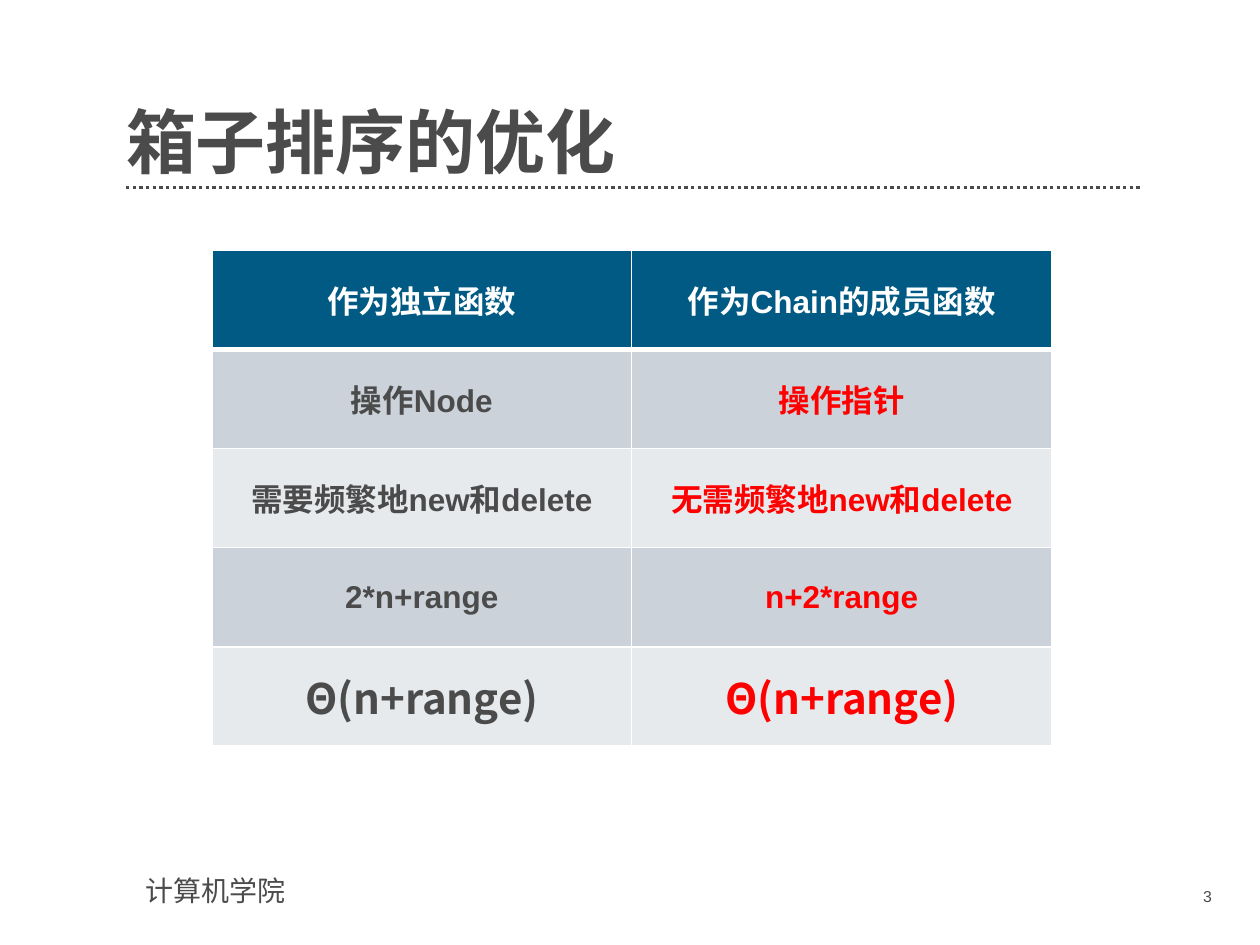
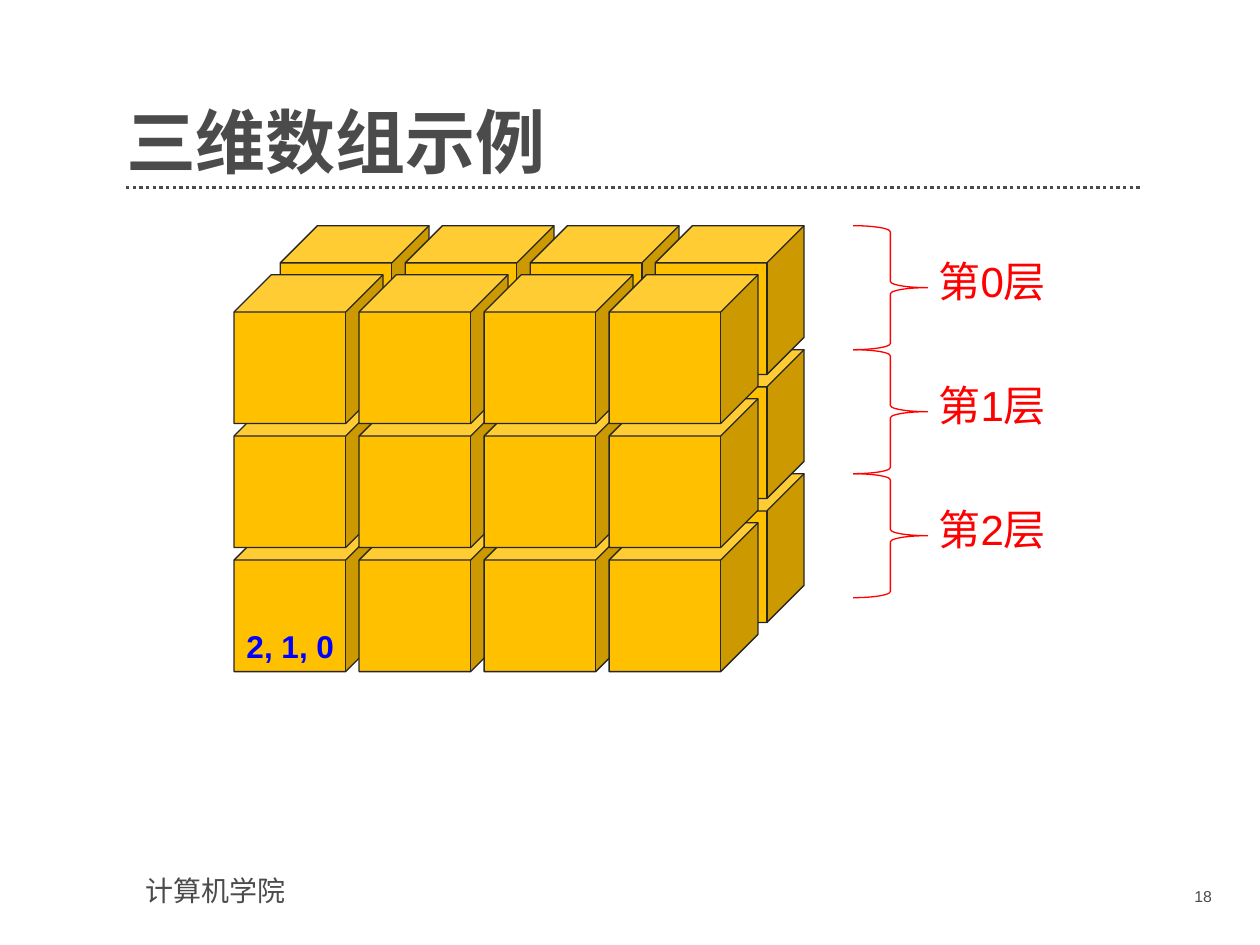
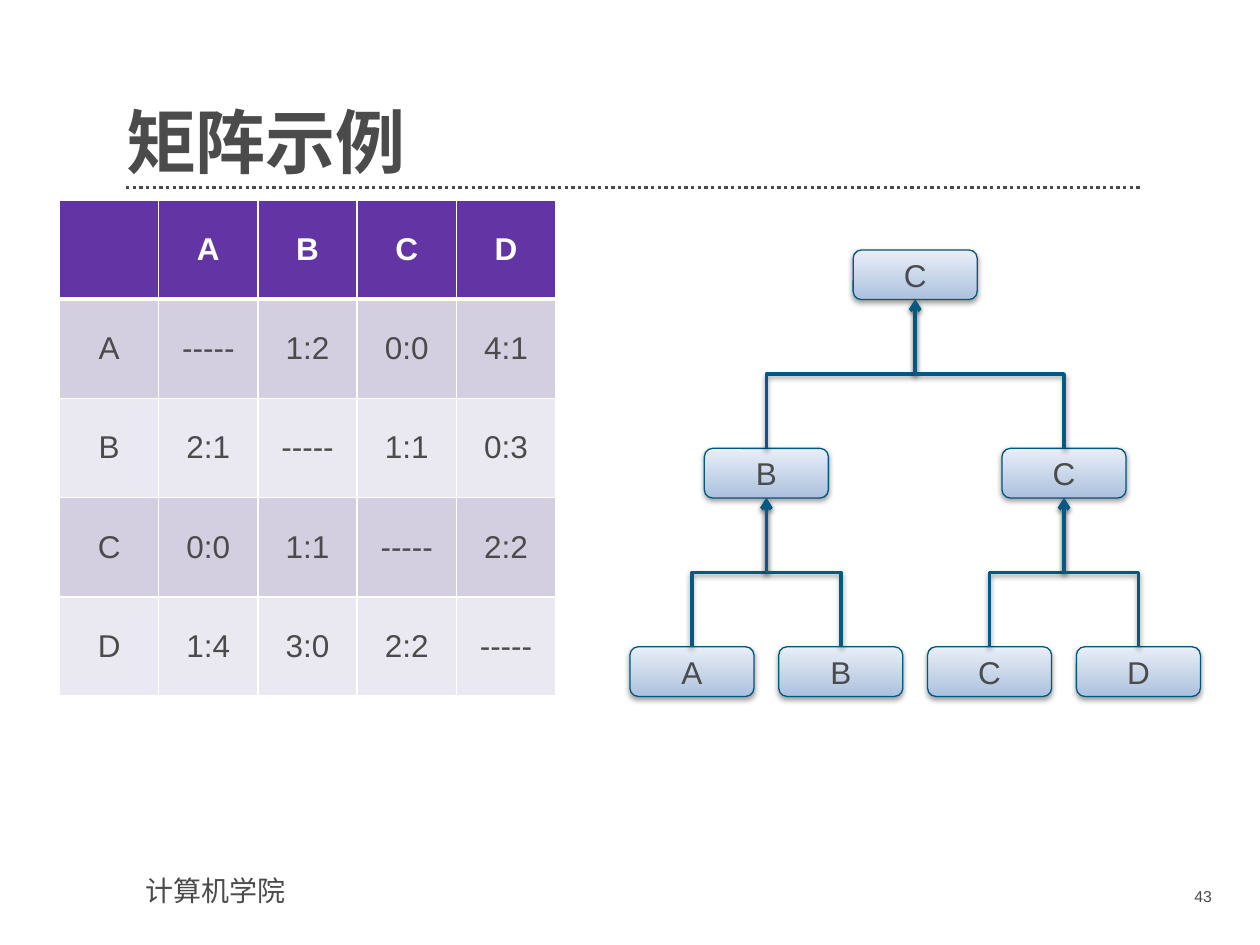
from dataclasses import dataclass

from lxml.etree import SubElement
from pptx import Presentation
from pptx.dml.color import RGBColor
from pptx.enum.dml import MSO_LINE
from pptx.enum.shapes import MSO_CONNECTOR, MSO_SHAPE
from pptx.enum.text import MSO_ANCHOR, MSO_AUTO_SIZE, PP_ALIGN
from pptx.oxml.ns import qn
from pptx.util import Cm, Pt

LEFT, CENTER, RIGHT = PP_ALIGN.LEFT, PP_ALIGN.CENTER, PP_ALIGN.RIGHT
MIDDLE, BOTTOM = MSO_ANCHOR.MIDDLE, MSO_ANCHOR.BOTTOM
STRAIGHT, ELBOW = MSO_CONNECTOR.STRAIGHT, MSO_CONNECTOR.ELBOW
CUBE, BRACE, ROUNDED = MSO_SHAPE.CUBE, MSO_SHAPE.RIGHT_BRACE, MSO_SHAPE.ROUNDED_RECTANGLE
NO_AUTOFIT, DOTTED = MSO_AUTO_SIZE.NONE, MSO_LINE.ROUND_DOT
TITLE_ONLY = 5


@dataclass(frozen=True)
class Theme:
    latin: str = "Arial"
    cjk: str = "Noto Sans CJK SC"
    ink: str = "4B4B4B"
    white: str = "FFFFFF"
    red: str = "FF0000"
    index_blue: str = "0000FF"
    cube: str = "FFC000"
    cube_edge: str = "262626"
    node_bottom: str = "ACC1DF"
    node_top: str = "E9EEF7"
    node_edge: str = "005881"
    link: str = "005A84"
    blue_bands: tuple = ("005A84", "CCD2D9", "E7EAED")
    purple_bands: tuple = ("6234A4", "D3CEE0", "EAE8F0")
    title_size: float = 40
    large_size: float = 24
    body_size: float = 18
    footer_size: float = 16
    number_size: float = 9
    hairline: float = 0.75


@dataclass(frozen=True)
class Box:
    """A region measured in one-centimetre columns and rows."""
    left: float
    top: float
    width: float
    height: float

    def region(self, column, row, width, height):
        return Box(self.left + column, self.top + row, width, height)

    @property
    def emu(self):
        return Cm(self.left), Cm(self.top), Cm(self.width), Cm(self.height)


THEME = Theme()
SLIDE = Box(0, 0, 25.4, 19.05)
TITLE = SLIDE.region(2.54, 1.4, 20.47, 2.31)


def rgb(color):
    return RGBColor.from_string(color)


def write(frame, text, size, color=THEME.ink, bold=False, align=LEFT, font=THEME.latin):
    frame.text = text
    paragraph = frame.paragraphs[0]
    paragraph.alignment = align
    paragraph.font.name = font
    paragraph.font.size = Pt(size)
    paragraph.font.bold = bold
    paragraph.font.color.rgb = rgb(color)
    defaults = paragraph._p.pPr.find(qn("a:defRPr"))
    SubElement(defaults, qn("a:ea"), typeface=THEME.cjk)
    return paragraph


def add_label(slide, box, text, size, **style):
    frame = slide.shapes.add_textbox(*box.emu).text_frame
    frame.word_wrap = True
    write(frame, text, size, **style)


def add_outlined(slide, preset, box, edge):
    shape = slide.shapes.add_shape(preset, *box.emu)
    shape.shadow.inherit = False
    shape.line.color.rgb = rgb(edge)
    shape.line.width = Pt(THEME.hairline)
    return shape


def add_line(slide, kind, start, end, color, width):
    line = slide.shapes.add_connector(kind, *(Cm(value) for value in (*start, *end)))
    line.line.color.rgb = rgb(color)
    line.line.width = Pt(width)
    SubElement(line.element.spPr, qn("a:effectLst"))
    return line


def cast_shadow(shape):
    effects = shape.element.spPr.find(qn("a:effectLst"))
    shadow = SubElement(effects, qn("a:outerShdw"), blurRad="40000", dist="20000",
                        dir="5400000", rotWithShape="0")
    color = SubElement(shadow, qn("a:srgbClr"), val="000000")
    SubElement(color, qn("a:alpha"), val="38000")


def add_page(deck, title, number):
    slide = deck.slides.add_slide(deck.slide_layouts[TITLE_ONLY])
    heading = slide.shapes.title
    heading.left, heading.top, heading.width, heading.height = TITLE.emu
    frame = heading.text_frame
    frame.margin_left = frame.margin_top = frame.margin_right = frame.margin_bottom = 0
    frame.vertical_anchor = BOTTOM
    frame.auto_size = NO_AUTOFIT
    frame.word_wrap = True
    write(frame, title, THEME.title_size, bold=True, font=THEME.cjk).line_spacing = 0.9

    rule_row = 3.78
    rule = add_line(slide, STRAIGHT, (TITLE.left, rule_row),
                    (TITLE.left + TITLE.width, rule_row), THEME.ink, 1.9)
    rule.line.dash_style = DOTTED
    add_label(slide, SLIDE.region(2.69, 17.48, 6.5, 0.94), "计算机学院", THEME.footer_size)
    add_label(slide, SLIDE.region(22.17, 17.75, 2.51, 0.74), str(number),
              THEME.number_size, align=RIGHT)
    return slide


def set_borders(cell, top, bottom):
    properties = cell._tc.get_or_add_tcPr()
    for side, width in (("L", 1), ("R", 1), ("T", top), ("B", bottom)):
        border = SubElement(properties, qn(f"a:ln{side}"), w=str(Pt(width)))
        fill = SubElement(border, qn("a:solidFill"))
        SubElement(fill, qn("a:srgbClr"), val=THEME.white)


def add_banded_table(slide, box, rows, bands, cell_style):
    header, *stripes = bands
    table = slide.shapes.add_table(len(rows), len(rows[0]), *box.emu).table
    table.horz_banding = False
    for r, row in enumerate(rows):
        for c, text in enumerate(row):
            cell = table.cell(r, c)
            set_borders(cell, 3 if r == 1 else 1, 3 if r == 0 else 1)
            cell.fill.solid()
            cell.fill.fore_color.rgb = rgb(stripes[(r - 1) % 2] if r else header)
            cell.vertical_anchor = MIDDLE
            if text:
                style = {"size": THEME.body_size, "align": CENTER, **cell_style(r, c)}
                if r == 0:
                    style.update(color=THEME.white, bold=True)
                write(cell.text_frame, text, **style)


def comparison_style(row, column):
    style = {"bold": True, "color": THEME.red if column else THEME.ink}
    if row == 4:
        style.update(size=THEME.large_size, font=THEME.cjk)
    return style


def plain_style(row, column):
    return {}


def add_cube_stack(slide, box, layers, columns):
    side, column_pitch, layer_pitch = 3, 2.52, 2.5
    back, front = (0.93, 0), (0, 0.99)
    for layer in reversed(range(layers)):
        for shift_x, shift_y in (back, front):
            for column in range(columns):
                place = box.region(shift_x + column * column_pitch,
                                   shift_y + layer * layer_pitch, side, side)
                cube = add_outlined(slide, CUBE, place, THEME.cube_edge)
                cube.fill.solid()
                cube.fill.fore_color.rgb = rgb(THEME.cube)
    add_label(slide, box.region(0, 7.97, 2.5, 1.02), "2, 1, 0", THEME.body_size,
              color=THEME.index_blue, bold=True)


def add_layer_braces(slide, box, layers):
    pitch = box.height / layers
    for layer in range(layers):
        top = layer * pitch
        add_label(slide, box.region(1.47, top + 0.48, 4.72, 1.3), f"第{layer}层",
                  THEME.large_size, color=THEME.red)
        brace = add_outlined(slide, BRACE, box.region(0, top, 1.5, pitch), THEME.red)
        brace.adjustments[0] = 0.083
        brace.fill.background()


def add_node(slide, box, text):
    node = add_outlined(slide, ROUNDED, box, THEME.node_edge)
    node.fill.gradient()
    node.fill.gradient_angle = 90
    for stop, color in zip(node.fill.gradient_stops, (THEME.node_bottom, THEME.node_top)):
        stop.color.rgb = rgb(color)
    cast_shadow(node)
    frame = node.text_frame
    frame.margin_top = frame.margin_bottom = 0
    frame.vertical_anchor = MIDDLE
    write(frame, text, THEME.body_size, align=CENTER)


def add_upward_link(slide, child, parent):
    (child_x, child_y), (parent_x, parent_y) = child, parent
    middle_x, middle_y = (child_x + parent_x) / 2, (child_y + parent_y) / 2
    half_rise, half_run = (child_y - parent_y) / 2, (child_x - parent_x) / 2
    link = add_line(slide, ELBOW, (middle_x - half_rise, middle_y + half_run),
                    (middle_x + half_rise, middle_y - half_run), THEME.link, 2)
    link.element.spPr.find(qn("a:xfrm")).set("rot", str(270 * 60000))
    SubElement(link.element.spPr.find(qn("a:ln")), qn("a:tailEnd"), type="arrow")
    cast_shadow(link)


def add_winner_tree(slide, box, levels):
    width, height, pitch = 2.5, 1, 4

    def center(level, index):
        return box.width * (index + 0.5) / len(levels[level])

    for level, players in enumerate(levels):
        for index, player in enumerate(players):
            add_node(slide, box.region(center(level, index) - width / 2, level * pitch,
                                       width, height), player)
    for level in range(1, len(levels)):
        for index in range(len(levels[level])):
            add_upward_link(
                slide,
                (box.left + center(level, index), box.top + level * pitch),
                (box.left + center(level - 1, index // 2),
                 box.top + (level - 1) * pitch + height))


def build_comparison(deck):
    slide = add_page(deck, "箱子排序的优化", 3)
    rows = [
        ("作为独立函数", "作为Chain的成员函数"),
        ("操作Node", "操作指针"),
        ("需要频繁地new和delete", "无需频繁地new和delete"),
        ("2*n+range", "n+2*range"),
        ("Θ(n+range)", "Θ(n+range)"),
    ]
    add_banded_table(slide, SLIDE.region(4.27, 5.04, 16.93, 10), rows,
                     THEME.blue_bands, comparison_style)


def build_cubes(deck):
    slide = add_page(deck, "三维数组示例", 18)
    layers = 3
    add_cube_stack(slide, SLIDE.region(4.72, 4.55, 11.49, 8.99), layers, 4)
    add_layer_braces(slide, SLIDE.region(17.2, 4.55, 6.19, 7.5), layers)


def build_matrix(deck):
    slide = add_page(deck, "矩阵示例", 43)
    rows = [
        ("", "A", "B", "C", "D"),
        ("A", "-----", "1:2", "0:0", "4:1"),
        ("B", "2:1", "-----", "1:1", "0:3"),
        ("C", "0:0", "1:1", "-----", "2:2"),
        ("D", "1:4", "3:0", "2:2", "-----"),
    ]
    add_banded_table(slide, SLIDE.region(1.2, 4.03, 10, 10), rows,
                     THEME.purple_bands, plain_style)
    add_winner_tree(slide, SLIDE.region(12.45, 5.04, 12, 9), ("C", "BC", "ABCD"))


def main():
    deck = Presentation()
    deck.slide_width, deck.slide_height = Cm(SLIDE.width), Cm(SLIDE.height)
    for build in (build_comparison, build_cubes, build_matrix):
        build(deck)
    deck.save("out.pptx")


if __name__ == "__main__":
    main()
